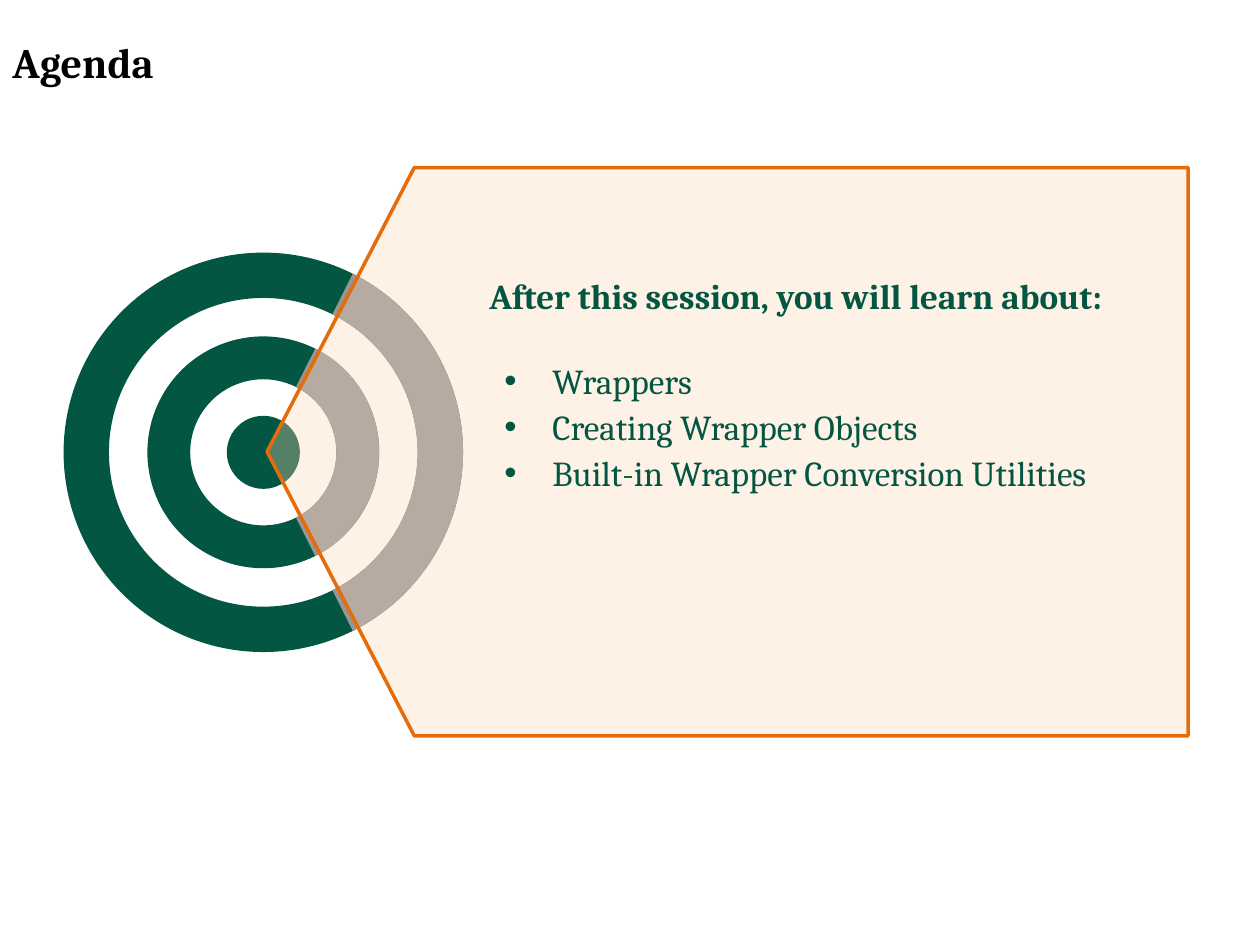
"""Build the agenda slide with a target and a pointed panel of topics."""
from dataclasses import dataclass

from lxml.etree import SubElement
from pptx import Presentation
from pptx.dml.color import RGBColor
from pptx.enum.shapes import MSO_SHAPE as Preset
from pptx.enum.text import MSO_ANCHOR as Anchor, PP_ALIGN as Align
from pptx.oxml.ns import qn
from pptx.util import Inches, Pt

GREEN, GREY, PEACH, ORANGE, BLACK = "035642", "969696", "FCD5B5", "E46C0A", "000000"
CENTER_X, CENTER_Y = 2.09, 3.59
SECTOR_ANGLE = 63.4
ANGLE_UNIT = 0.6
TOPICS = ["Wrappers", "Creating Wrapper Objects", "Built-in Wrapper Conversion Utilities"]


@dataclass
class Ring:
    diameter: float
    thickness: float


RINGS = [Ring(1.84, 0.34), Ring(3.17, 0.36)]


def color(value: str) -> RGBColor:
    return RGBColor.from_string(value)


def add_shape(page, preset: Preset, left: float, top: float, width: float, height: float, fill: str):
    shape = page.shapes.add_shape(preset, Inches(left), Inches(top), Inches(width), Inches(height))
    shape.shadow.inherit = False
    shape.fill.solid()
    shape.fill.fore_color.rgb = color(fill)
    shape.line.fill.background()
    return shape


def add_centered(page, preset: Preset, diameter: float, fill: str):
    radius = diameter / 2
    return add_shape(page, preset, CENTER_X - radius, CENTER_Y - radius, diameter, diameter, fill)


def add_target(page) -> None:
    add_centered(page, Preset.OVAL, 0.58, GREEN)
    for ring in RINGS:
        share = ring.thickness / ring.diameter
        donut = add_centered(page, Preset.DONUT, ring.diameter, GREEN)
        donut.adjustments[0] = share
        sector = add_centered(page, Preset.BLOCK_ARC, ring.diameter, GREY)
        sector.adjustments[0] = (360 - SECTOR_ANGLE) * ANGLE_UNIT
        sector.adjustments[1] = SECTOR_ANGLE * ANGLE_UNIT
        sector.adjustments[2] = share


def write(para, text: str, size: float = 20, fill: str = GREEN, bold: bool = False,
          spacing: float = 1.0, after: float = 0, bullet: bool = False) -> None:
    para.alignment = Align.LEFT
    para.line_spacing = spacing
    para.space_after = Pt(after)
    span = para.add_run()
    span.text = text
    span.font.name = "Cambria"
    span.font.size = Pt(size)
    span.font.bold = bold
    span.font.color.rgb = color(fill)
    if bullet:
        props = para._p.get_or_add_pPr()
        props.set("marL", str(Inches(0.5)))
        props.set("indent", str(Inches(-0.38)))
        SubElement(props, qn("a:buFont"), typeface="Arial")
        SubElement(props, qn("a:buChar"), char="•")


def set_frame(frame, left: float, right: float, bottom: float) -> None:
    frame.word_wrap = True
    frame.vertical_anchor = Anchor.MIDDLE
    frame.margin_left, frame.margin_right = Inches(left), Inches(right)
    frame.margin_top, frame.margin_bottom = Inches(0), Inches(bottom)


def add_title(page) -> None:
    box = page.shapes.add_textbox(Inches(0), Inches(0.22), Inches(7.59), Inches(0.62))
    set_frame(box.text_frame, left=0.1, right=0.1, bottom=0.08)
    write(box.text_frame.paragraphs[0], "Agenda", size=24, fill=BLACK, bold=True)


def add_panel(page) -> None:
    panel = add_shape(page, Preset.PENTAGON, 2.12, 1.33, 7.31, 4.51, PEACH)
    panel.adjustments[0] = 0.259
    panel.line.color.rgb = color(ORANGE)
    panel.line.width = Pt(2)
    properties = panel._element.spPr
    properties.find(qn("a:xfrm")).set("flipH", "1")
    tint = properties.find(qn("a:solidFill")).find(qn("a:srgbClr"))
    SubElement(tint, qn("a:alpha"), val="33000")
    frame = panel.text_frame
    set_frame(frame, left=1.18, right=0.08, bottom=1.04)
    write(frame.paragraphs[0], "After this session, you will learn about:",
          bold=True, spacing=0.9, after=21.8)
    for topic in TOPICS:
        write(frame.add_paragraph(), topic, spacing=1.1, bullet=True)


def main() -> None:
    deck = Presentation()
    deck.slide_width, deck.slide_height = Inches(10), Inches(7.5)
    page = deck.slides.add_slide(deck.slide_layouts[6])
    add_title(page)
    add_target(page)
    add_panel(page)
    deck.save("out.pptx")


main()
